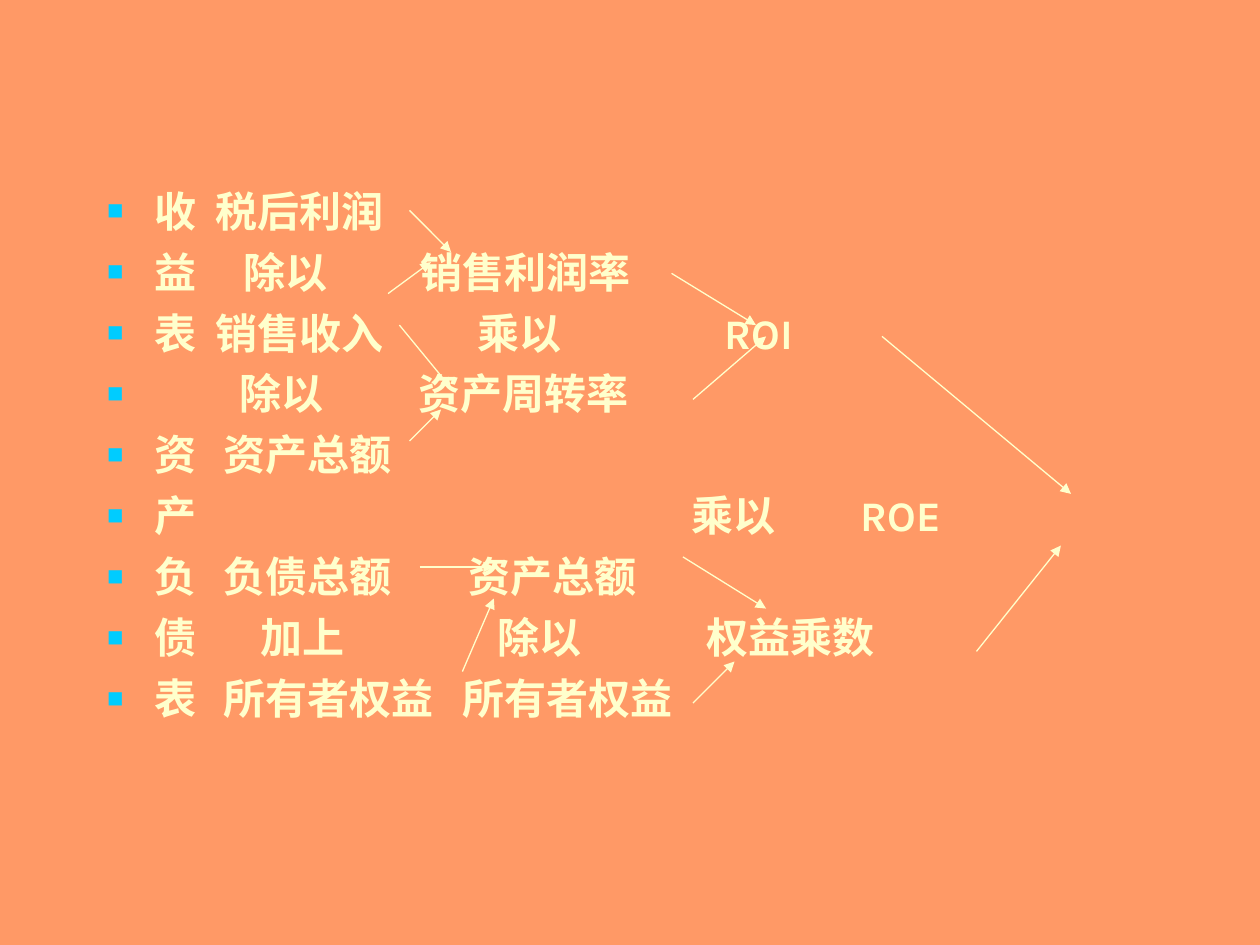
"""Build a slide that breaks ROE down into its balance sheet and income drivers."""
from lxml.etree import SubElement
from pptx import Presentation
from pptx.dml.color import RGBColor
from pptx.enum.shapes import MSO_CONNECTOR as Connector
from pptx.enum.text import MSO_ANCHOR as Anchor, MSO_AUTO_SIZE as AutoSize, PP_ALIGN as Align
from pptx.oxml.ns import qn
from pptx.util import Inches, Pt

CREAM, CYAN, ORANGE = "FFFFCC", "00CCFF", "FF9966"
TEXT_LEFT = 0.85


def color(value):
    return RGBColor.from_string(value)


def add_child(parent, tag, **attributes):
    return SubElement(parent, qn(tag), {key: str(value) for key, value in attributes.items()})


deck = Presentation()
deck.slide_width, deck.slide_height = Inches(10), Inches(7.5)
page = deck.slides.add_slide(deck.slide_layouts[1])
page.background.fill.solid()
page.background.fill.fore_color.rgb = color(ORANGE)
title, body = page.placeholders
title.element.getparent().remove(title.element)

body.left, body.top, body.width, body.height = map(Inches, (0.75, 1.42, 8.5, 4.5))
frame = body.text_frame
frame_format = {
    "word_wrap": True, "auto_size": AutoSize.NONE, "vertical_anchor": Anchor.TOP,
    "margin_left": Inches(0.1), "margin_right": Inches(0.1),
    "margin_top": Inches(0.05), "margin_bottom": Inches(0.05),
}
for name, value in frame_format.items():
    setattr(frame, name, value)

rows = [
    ("收", [(1.71, "税后利润")]),
    ("益", [(1.93, "除以"), (3.34, "销售利润率")]),
    ("表", [(1.71, "销售收入"), (3.79, "乘以"), (5.75, "ROI")]),
    ("", [(1.9, "除以"), (3.32, "资产周转率")]),
    ("资", [(1.77, "资产总额")]),
    ("产", [(5.49, "乘以"), (6.83, "ROE")]),
    ("负", [(1.77, "负债总额"), (3.72, "资产总额")]),
    ("债", [(2.07, "加上"), (3.95, "除以"), (5.61, "权益乘数")]),
    ("表", [(1.77, "所有者权益"), (3.67, "所有者权益")]),
]
font_format = {"name": "Karla", "size": Pt(24), "bold": True}
for index, (label, terms) in enumerate(rows):
    para = frame.paragraphs[0] if index == 0 else frame.add_paragraph()
    properties = para._p.get_or_add_pPr()
    properties.set("marL", str(Inches(0.38)))
    properties.set("indent", str(Inches(-0.38)))
    bullet_color = add_child(properties, "a:buClr")
    add_child(bullet_color, "a:srgbClr", val=CYAN)
    add_child(properties, "a:buSzPct", val=65000)
    add_child(properties, "a:buFont", typeface="Arial")
    add_child(properties, "a:buChar", char="■")
    tabs = add_child(properties, "a:tabLst")
    for left, term in terms:
        add_child(tabs, "a:tab", pos=Inches(left - TEXT_LEFT), algn="l")
    para.alignment = Align.LEFT
    para.line_spacing = 1.0
    para.space_before = Pt(6 if index else 0)
    span = para.add_run()
    span.text = "\t".join([label] + [term for left, term in terms])
    for font in (para.font, span.font):
        for name, value in font_format.items():
            setattr(font, name, value)
        font.color.rgb = color(CREAM)

arrows = [
    (3.25, 1.67, 3.58, 2), (3.08, 2.33, 3.42, 2.08), (3.17, 2.58, 3.58, 3.08),
    (3.25, 3.5, 3.5, 3.25), (5.33, 2.17, 6, 2.58), (5.5, 3.17, 6.08, 2.67),
    (7, 2.67, 8.5, 3.92), (7.75, 5.17, 8.42, 4.33), (3.33, 4.5, 3.92, 4.5),
    (3.67, 5.33, 3.92, 4.75), (5.42, 4.42, 6.08, 4.83), (5.5, 5.58, 5.83, 5.25),
]
for ends in arrows:
    arrow = page.shapes.add_connector(Connector.STRAIGHT, *map(Inches, ends))
    arrow.line.color.rgb = color(CREAM)
    arrow.line.width = Pt(0.75)
    add_child(arrow.line._get_or_add_ln(), "a:tailEnd", type="triangle")
    add_child(arrow._element.spPr, "a:effectLst")

deck.save("out.pptx")
